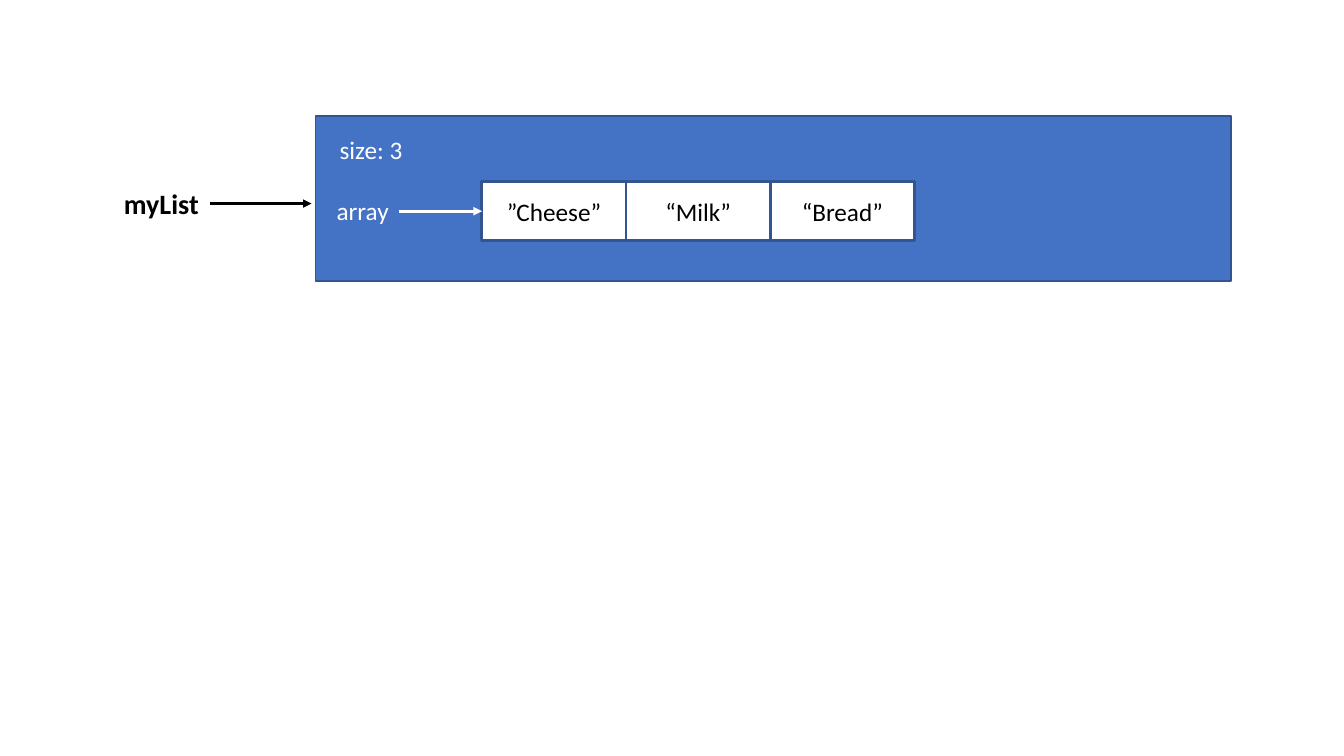
import pptx
import pptx.dml.color
import pptx.enum.shapes
import pptx.enum.text
import pptx.oxml.ns
import pptx.util
import lxml.etree

COLORS = {"object": "4472C4", "edge": "325491", "white": "FFFFFF", "black": "000000"}
FONT = "Calibri"

ITEMS = ["”Cheese”", "“Milk”", "“Bread”"]
LABELS = [  # text, (left, top, width, height), format
    ("myList", (1.13, 1.8, 0.95, 0.44), dict(size=20, bold=True)),
    ("size: 3", (3.27, 1.28, 0.83, 0.4), dict(color="white")),
    ("array", (3.24, 1.89, 0.72, 0.4), dict(color="white")),
]
OBJECT_BOX = (3.13, 1.15, 9.08, 1.64)
CELL_LEFT, CELL_TOP, CELL_W, CELL_H = 4.78, 1.8, 1.43, 0.59
ARROWS = [  # start x, end x, y, color
    (3.96, CELL_LEFT, CELL_TOP + CELL_H / 2, "white"),
    (2.08, 3.09, 2.02, "black"),
]


def rgb(name):
    """Return the named palette color."""
    return pptx.dml.color.RGBColor.from_string(COLORS[name])


def inches(values):
    """Convert numbers to inch lengths."""
    return [pptx.util.Inches(v) for v in values]


def write(sp, text, size=18, color="black", bold=False, align="LEFT", anchor="TOP", wrap=False):
    """Put formatted text into a shape."""
    tf = sp.text_frame
    tf.word_wrap = wrap
    tf.vertical_anchor = getattr(pptx.enum.text.MSO_ANCHOR, anchor)
    p = tf.paragraphs[0]
    p.alignment = getattr(pptx.enum.text.PP_ALIGN, align)
    r = p.add_run()
    r.text = text
    r.font.name = FONT
    r.font.size = pptx.util.Pt(size)
    r.font.bold = bold
    r.font.color.rgb = rgb(color)


def add_box(s, box, fill, line_width):
    """Draw an outlined rectangle."""
    sp = s.shapes.add_shape(pptx.enum.shapes.MSO_SHAPE.RECTANGLE, *inches(box))
    sp.shadow.inherit = False
    sp.fill.solid()
    sp.fill.fore_color.rgb = rgb(fill)
    sp.line.color.rgb = rgb("edge")
    sp.line.width = pptx.util.Pt(line_width)
    return sp


def add_arrow(s, x1, x2, y, color):
    """Draw a horizontal arrow pointing at x2."""
    cxn = s.shapes.add_connector(pptx.enum.shapes.MSO_CONNECTOR.STRAIGHT, *inches((x1, y, x2, y)))
    cxn.line.color.rgb = rgb(color)
    cxn.line.width = pptx.util.Pt(2)
    qn = pptx.oxml.ns.qn
    lxml.etree.SubElement(cxn.line._get_or_add_ln(), qn("a:tailEnd"), type="triangle")
    lxml.etree.SubElement(cxn._element.spPr, qn("a:effectLst"))


prs = pptx.Presentation()
prs.slide_width, prs.slide_height = inches((13.33, 7.5))
s = prs.slides.add_slide(prs.slide_layouts[6])

add_box(s, OBJECT_BOX, "object", 1)
for text, box, style in LABELS:
    sp = s.shapes.add_textbox(*inches(box))
    sp.text_frame.auto_size = pptx.enum.text.MSO_AUTO_SIZE.SHAPE_TO_FIT_TEXT
    write(sp, text, **style)
for i, item in enumerate(ITEMS):
    sp = add_box(s, (CELL_LEFT + i * CELL_W, CELL_TOP, CELL_W, CELL_H), "white", 2)
    write(sp, item, align="CENTER", anchor="MIDDLE", wrap=True)
for arrow in ARROWS:
    add_arrow(s, *arrow)

prs.save("out.pptx")
